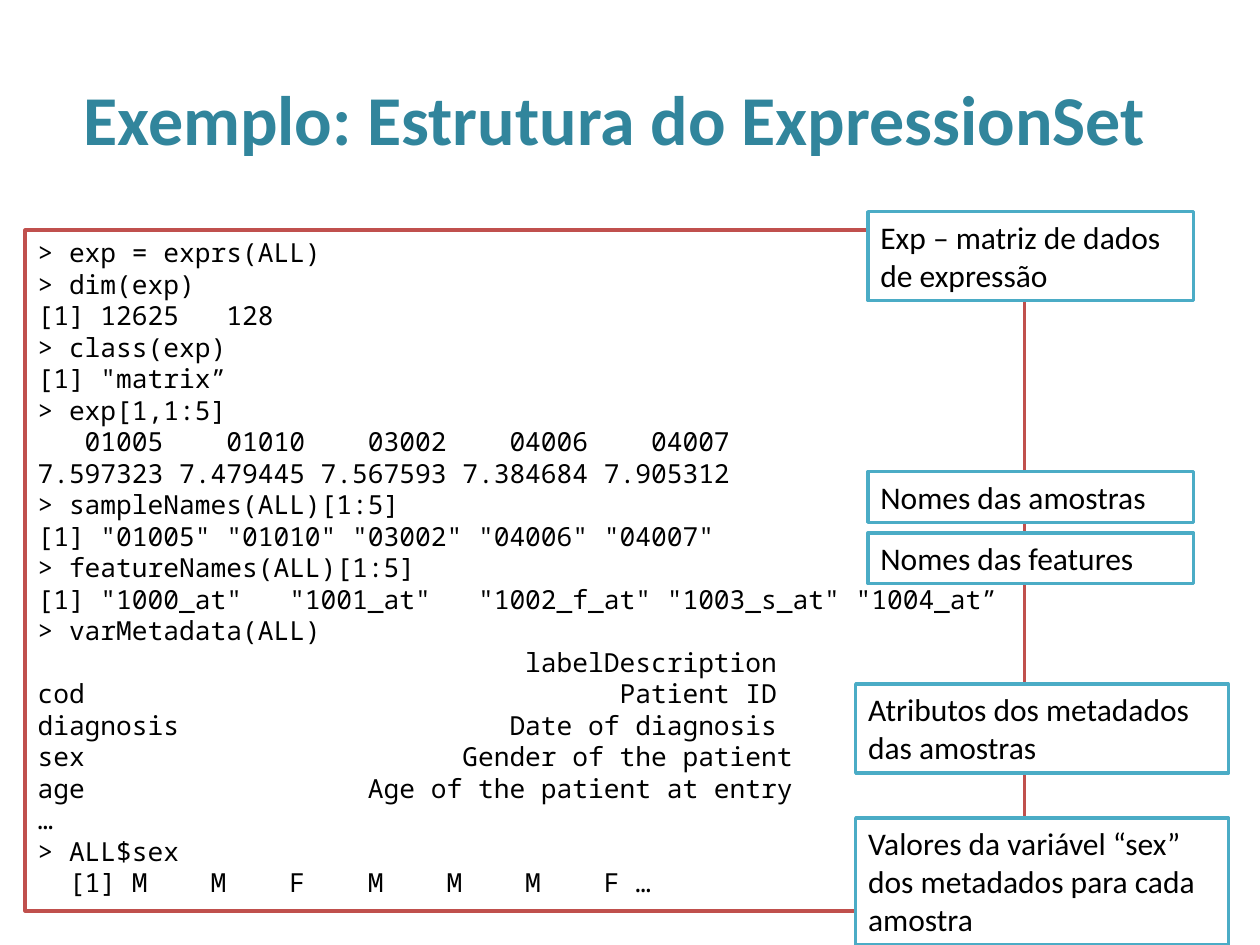
from dataclasses import dataclass

from pptx import Presentation
from pptx.dml.color import RGBColor as Rgb
from pptx.enum import shapes, text
from pptx.util import Pt


@dataclass(frozen=True)
class Theme:
    sans: str = "Calibri"
    mono: str = "Noto Sans Mono"
    teal: str = "31859C"
    red: str = "C0504D"
    blue: str = "4BACC6"
    ink: str = "000000"
    paper: str = "FFFFFF"
    head: int = 40
    note: int = 18
    code: int = 15
    lead: int = 18
    edge: int = 2


THEME = Theme()

TITLE = "Exemplo: Estrutura do ExpressionSet"

CODE = """\
> exp = exprs(ALL)
> dim(exp)
[1] 12625   128
> class(exp)
[1] "matrix”
> exp[1,1:5]
   01005    01010    03002    04006    04007
7.597323 7.479445 7.567593 7.384684 7.905312
> sampleNames(ALL)[1:5]
[1] "01005" "01010" "03002" "04006" "04007"
> featureNames(ALL)[1:5]
[1] "1000_at"   "1001_at"   "1002_f_at" "1003_s_at" "1004_at”
> varMetadata(ALL)
                               labelDescription
cod                                  Patient ID
diagnosis                     Date of diagnosis
sex                        Gender of the patient
age                  Age of the patient at entry
…
> ALL$sex
  [1] M    M    F    M    M    M    F …"""

# Notes beside the code: column, top, lines of text, wording
NOTES = [
    ("slim", 121, 2, "Exp – matriz de dados de expressão"),
    ("slim", 269.5, 1, "Nomes das amostras"),
    ("slim", 304.5, 1, "Nomes das features"),
    ("wide", 391, 2, "Atributos dos metadados das amostras"),
    ("wide", 467.5, 3, "Valores da variável “sex” dos metadados para cada amostra"),
]
COLUMNS = {"slim": (496, 186), "wide": (489, 213)}  # left, width


def place(shape, box):
    shape.left, shape.top, shape.width, shape.height = map(Pt, box)


def write(para, words, font, size, color, bold=False):
    run = para.add_run()
    run.text = words
    run.font.name = font
    run.font.size = Pt(size)
    run.font.bold = bold
    run.font.color.rgb = Rgb.from_string(color)


def frame(slide, box, color):
    """Add a white box with a coloured edge and return its text frame."""
    rect = slide.shapes.add_shape(shapes.MSO_SHAPE.RECTANGLE, *map(Pt, box))
    rect.shadow.inherit = False
    rect.fill.solid()
    rect.fill.fore_color.rgb = Rgb.from_string(THEME.paper)
    rect.line.color.rgb = Rgb.from_string(color)
    rect.line.width = Pt(THEME.edge)
    body = rect.text_frame
    body.word_wrap = True
    body.vertical_anchor = text.MSO_ANCHOR.TOP
    return body


def add_title(slide, box):
    title = slide.shapes.title
    place(title, box)
    body = title.text_frame
    body.vertical_anchor = text.MSO_ANCHOR.MIDDLE
    para = body.paragraphs[0]
    para.alignment = text.PP_ALIGN.CENTER
    write(para, TITLE, THEME.sans, THEME.head, THEME.teal, bold=True)


def add_code(slide, box):
    body = frame(slide, box, THEME.red)
    for i, line in enumerate(CODE.splitlines()):
        para = body.add_paragraph() if i else body.paragraphs[0]
        para.alignment = text.PP_ALIGN.LEFT
        para.line_spacing = Pt(THEME.lead)
        write(para, line, THEME.mono, THEME.code, THEME.ink)


def add_note(slide, box, words):
    para = frame(slide, box, THEME.blue).paragraphs[0]
    para.alignment = text.PP_ALIGN.LEFT
    write(para, words, THEME.sans, THEME.note, THEME.ink)


def main():
    deck = Presentation()
    deck.slide_width, deck.slide_height = Pt(720), Pt(540)
    slide = deck.slides.add_slide(deck.slide_layouts[5])
    add_title(slide, (27, 13, 648, 108))
    add_code(slide, (14.4, 131.5, 571, 389))
    for column, top, rows, words in NOTES:
        left, width = COLUMNS[column]
        add_note(slide, (left, top, width, 7.2 + 21.8 * rows), words)
    deck.save("out.pptx")


if __name__ == "__main__":
    main()
